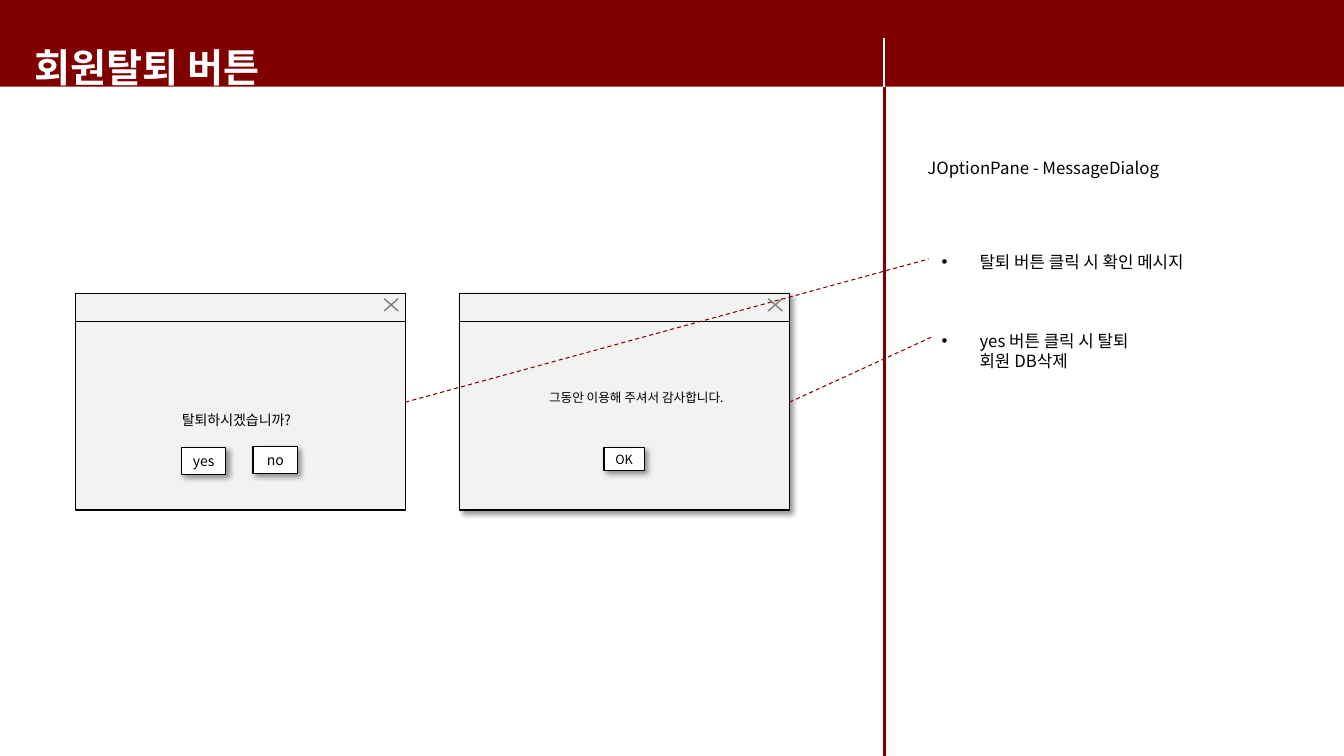
from dataclasses import dataclass
from typing import Optional

from lxml.etree import SubElement
from pptx import Presentation
from pptx.dml.color import RGBColor
from pptx.enum.dml import MSO_LINE
from pptx.enum.shapes import MSO_CONNECTOR, MSO_SHAPE
from pptx.enum.text import MSO_ANCHOR, MSO_AUTO_SIZE, PP_ALIGN
from pptx.oxml.ns import qn
from pptx.util import Emu, Inches, Pt

MAROON = RGBColor(0x80, 0x00, 0x00)
WHITE = RGBColor(0xFF, 0xFF, 0xFF)
BLACK = RGBColor(0x00, 0x00, 0x00)
PANEL_GRAY = RGBColor(0xF2, 0xF2, 0xF2)
CROSS_GRAY = RGBColor(0x7F, 0x7F, 0x7F)
CROSS_BLUE = RGBColor(0x44, 0x72, 0xC4)
FONT = "Noto Sans CJK KR"

# Grid: 133.3 columns by 75 rows
CELL = Inches(0.1)
SLIDE_COLUMNS, SLIDE_ROWS = 133.3, 75
DIVIDER_COLUMN = 87.7
HEADER_ROWS = 8.6
WINDOW_TOP, WINDOW_COLUMNS, WINDOW_ROWS = 29.1, 32.7, 21.5


def cells(count: float) -> Emu:
    return Emu(round(count * CELL))


@dataclass(frozen=True)
class Area:
    column: float
    row: float
    columns: float
    rows: float

    def lengths(self) -> tuple:
        return tuple(map(cells, (self.column, self.row, self.columns, self.rows)))


@dataclass(frozen=True)
class Button:
    label: str
    size: float
    area: Area


@dataclass(frozen=True)
class Dialog:
    column: float
    shadow: bool
    message: str
    message_size: float
    message_area: Area
    buttons: tuple


@dataclass(frozen=True)
class Note:
    number: int
    text: str
    area: Area
    margin: float
    hanging: float


@dataclass(frozen=True)
class Line:
    start: tuple
    end: tuple
    color: RGBColor
    width: float
    dash: Optional[MSO_LINE] = None


DIALOGS = (
    Dialog(7.5, False, "탈퇴하시겠습니까?", 10, Area(10.1, 38.6, 26.7, 4.4),
           (Button("yes", 10, Area(18, 44.4, 4.4, 2.7)),
            Button("no", 10, Area(25.1, 44.3, 4.4, 2.7)))),
    Dialog(45.6, True, "그동안 이용해 주셔서 감사합니다.", 9, Area(52.6, 38.2, 21, 2.5),
           (Button("OK", 9, Area(59.9, 44.4, 4, 2.3)),)),
)
NOTES = (
    Note(1, "탈퇴 버튼 클릭 시 확인 메시지", Area(92.4, 24.5, 38.7, 3), 5, 3.3),
    Note(2, "yes 버튼 클릭 시 탈퇴\v회원 DB삭제", Area(92.4, 32.3, 38.7, 5), 2, 2),
)
DIVIDERS = (
    Line((DIVIDER_COLUMN, 3.8), (DIVIDER_COLUMN, 9.5), WHITE, 1.5),
    Line((DIVIDER_COLUMN, HEADER_ROWS), (DIVIDER_COLUMN, SLIDE_ROWS), MAROON, 2.25),
)
CALLOUTS = (
    Line((40.2, 39.9), (92.1, 25.7), MAROON, 0.75, MSO_LINE.DASH),
    Line((78.3, 39.9), (92.5, 33.4), MAROON, 0.75, MSO_LINE.DASH),
)


def place(shape, area: Area) -> None:
    shape.left, shape.top, shape.width, shape.height = area.lengths()


def write(shape, text: str, size: float, color: RGBColor = BLACK, bold: bool = False,
          align: PP_ALIGN = PP_ALIGN.LEFT, anchor: MSO_ANCHOR = MSO_ANCHOR.TOP,
          wrap: bool = True) -> None:
    frame = shape.text_frame
    frame.text = text
    frame.word_wrap = wrap
    frame.auto_size = MSO_AUTO_SIZE.NONE
    frame.vertical_anchor = anchor
    paragraph = frame.paragraphs[0]
    paragraph.alignment = align
    paragraph.space_before = Pt(0)
    font = paragraph.font
    font.size, font.bold, font.name = Pt(size), bold, FONT
    font.color.rgb = color
    # Korean letters take the East Asian typeface
    defaults = paragraph._p.pPr.find(qn("a:defRPr"))
    SubElement(defaults, qn("a:ea")).set("typeface", FONT)


def add_text(slide, area: Area, text: str, size: float, **style) -> None:
    write(slide.shapes.add_textbox(*area.lengths()), text, size, **style)


def add_box(slide, area: Area, fill: RGBColor, line: Optional[RGBColor] = BLACK,
            kind: MSO_SHAPE = MSO_SHAPE.RECTANGLE, shadow: bool = False):
    shape = slide.shapes.add_shape(kind, *area.lengths())
    shape.shadow.inherit = False
    shape.fill.solid()
    shape.fill.fore_color.rgb = fill
    if line is None:
        shape.line.fill.background()
    else:
        shape.line.color.rgb = line
        shape.line.width = Pt(1)
    if shadow:
        effects = shape.element.spPr.find(qn("a:effectLst"))
        outer = SubElement(effects, qn("a:outerShdw"), blurRad=str(Pt(4)),
                           dist=str(Pt(3)), dir="2700000", algn="tl", rotWithShape="0")
        tint = SubElement(outer, qn("a:srgbClr"), val=str(BLACK))
        SubElement(tint, qn("a:alpha"), val="40000")
    return shape


def add_line(slide, line: Line) -> None:
    connector = slide.shapes.add_connector(
        MSO_CONNECTOR.STRAIGHT, *map(cells, line.start + line.end))
    connector.line.color.rgb = line.color
    connector.line.width = Pt(line.width)
    if line.dash is not None:
        connector.line.dash_style = line.dash
    SubElement(connector.element.spPr, qn("a:effectLst"))


def add_dialog(slide, dialog: Dialog) -> None:
    left, right = dialog.column, dialog.column + WINDOW_COLUMNS
    add_box(slide, Area(left, WINDOW_TOP, WINDOW_COLUMNS, WINDOW_ROWS), PANEL_GRAY,
            shadow=dialog.shadow)
    bar_row = WINDOW_TOP + 2.8
    add_line(slide, Line((left, bar_row), (right, bar_row), BLACK, 1))
    cross = add_box(slide, Area(right - 2.7, WINDOW_TOP, 2.6, 2.3), CROSS_BLUE,
                    CROSS_GRAY, MSO_SHAPE.MATH_MULTIPLY)
    cross.adjustments[0] = 0
    add_text(slide, dialog.message_area, dialog.message, dialog.message_size,
             align=PP_ALIGN.CENTER, anchor=MSO_ANCHOR.BOTTOM)
    for button in dialog.buttons:
        shape = add_box(slide, button.area, WHITE, shadow=True)
        write(shape, button.label, button.size, align=PP_ALIGN.CENTER,
              anchor=MSO_ANCHOR.MIDDLE, wrap=False)


def fill_note(placeholder, note: Note) -> None:
    place(placeholder, note.area)
    placeholder.text_frame.text = note.text
    properties = placeholder.text_frame.paragraphs[0]._p.get_or_add_pPr()
    properties.set("marL", str(cells(note.margin)))
    properties.set("indent", str(-cells(note.hanging)))
    SubElement(properties, qn("a:buFont"), typeface="+mj-lt")
    SubElement(properties, qn("a:buAutoNum"), type="arabicPeriod", startAt=str(note.number))
    # Setting text again keeps the paragraph's numbering
    write(placeholder, note.text, 12)


def main() -> None:
    presentation = Presentation()
    presentation.slide_width = cells(SLIDE_COLUMNS)
    presentation.slide_height = cells(SLIDE_ROWS)
    slide = presentation.slides.add_slide(presentation.slide_layouts[3])

    # Header band with the title in front of it
    header = add_box(slide, Area(-1.8, 0, 138.3, HEADER_ROWS), MAROON, None)
    title = slide.shapes.title
    place(title, Area(2.4, 3.8, 39.6, 5.7))
    write(title, "회원탈퇴 버튼", 28, WHITE, bold=True)
    header.element.addnext(title.element)
    for line in DIVIDERS:
        add_line(slide, line)

    # Dialog windows
    for dialog in DIALOGS:
        add_dialog(slide, dialog)

    # Explanations and their callout lines
    add_text(slide, Area(91, 15.2, 38.7, 3), "JOptionPane - MessageDialog", 12)
    for note in NOTES:
        fill_note(slide.placeholders[note.number], note)
    for line in CALLOUTS:
        add_line(slide, line)

    presentation.save("out.pptx")


if __name__ == "__main__":
    main()
